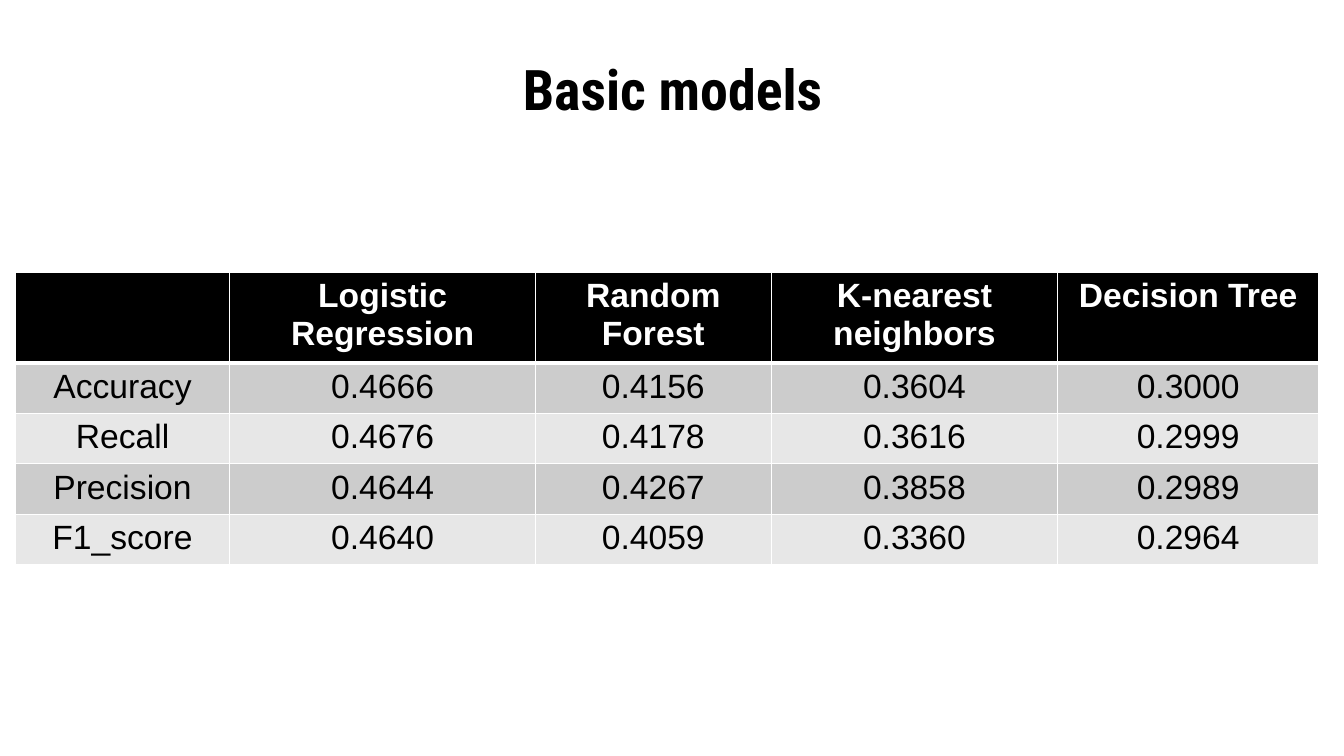
import lxml.etree
import pptx
import pptx.dml.color
import pptx.enum.text
import pptx.oxml.ns
import pptx.util

Inches = pptx.util.Inches
Pt = pptx.util.Pt
qn = pptx.oxml.ns.qn

BLACK = "000000"
WHITE = "FFFFFF"
BAND_FILLS = ["CCCCCC", "E7E7E7"]
COLUMN_WIDTHS = [2.13, 3.03, 2.34, 2.84, 2.59]
HEADER_HEIGHT = 0.84
SCORES = [
    ["", "Logistic Regression", "Random Forest", "K-nearest neighbors", "Decision Tree"],
    ["Accuracy", "0.4666", "0.4156", "0.3604", "0.3000"],
    ["Recall", "0.4676", "0.4178", "0.3616", "0.2999"],
    ["Precision", "0.4644", "0.4267", "0.3858", "0.2989"],
    ["F1_score", "0.4640", "0.4059", "0.3360", "0.2964"],
]


def color(value):
    return pptx.dml.color.RGBColor.from_string(value)


def write_text(paragraph, text, font_name, size, font_color, bold):
    paragraph.text = text
    paragraph.alignment = pptx.enum.text.PP_ALIGN.CENTER
    paragraph.font.name = font_name
    paragraph.font.size = Pt(size)
    paragraph.font.bold = bold
    paragraph.font.color.rgb = color(font_color)


def set_borders(cell, widths):
    properties = cell._tc.get_or_add_tcPr()
    for position, (side, width) in enumerate(widths.items()):
        line = lxml.etree.Element(qn("a:ln" + side), w=str(Pt(width)))
        fill = lxml.etree.SubElement(line, qn("a:solidFill"))
        lxml.etree.SubElement(fill, qn("a:srgbClr"), val=WHITE)
        properties.insert(position, line)


def add_title(slide, left, top, width, height):
    text_box = slide.shapes.add_textbox(Inches(left), Inches(top), Inches(width), Inches(height))
    frame = text_box.text_frame
    frame.word_wrap = True
    frame.vertical_anchor = pptx.enum.text.MSO_ANCHOR.MIDDLE
    frame.margin_left = frame.margin_right = Inches(0.13)
    frame.margin_top = frame.margin_bottom = Inches(0.13)
    write_text(frame.paragraphs[0], "Basic models", "Roboto Condensed", 40, BLACK, True)


def add_score_table(slide, left, top, width, height):
    table = slide.shapes.add_table(
        len(SCORES), len(COLUMN_WIDTHS), Inches(left), Inches(top), Inches(width), Inches(height)
    ).table
    for column, share in zip(table.columns, COLUMN_WIDTHS):
        column.width = Inches(width * share / sum(COLUMN_WIDTHS))
    body_height = (height - HEADER_HEIGHT) / (len(SCORES) - 1)
    for row_index, values in enumerate(SCORES):
        is_header = row_index == 0
        table.rows[row_index].height = Inches(HEADER_HEIGHT if is_header else body_height)
        fill_color = BLACK if is_header else BAND_FILLS[(row_index - 1) % 2]
        borders = {"L": 1, "R": 1, "T": 3 if row_index == 1 else 1, "B": 3 if is_header else 1}
        for column_index, text in enumerate(values):
            cell = table.cell(row_index, column_index)
            cell.fill.solid()
            cell.fill.fore_color.rgb = color(fill_color)
            set_borders(cell, borders)
            font_color = WHITE if is_header else BLACK
            write_text(cell.text_frame.paragraphs[0], text, "Arial", 24, font_color, is_header)


presentation = pptx.Presentation()
presentation.slide_width = Inches(13.33)
presentation.slide_height = Inches(7.5)
slide = presentation.slides.add_slide(presentation.slide_layouts[6])
add_title(slide, 0.67, 0.6, 12, 0.54)
add_score_table(slide, 0.15, 2.7, 12.93, 2.73)
presentation.save("out.pptx")
